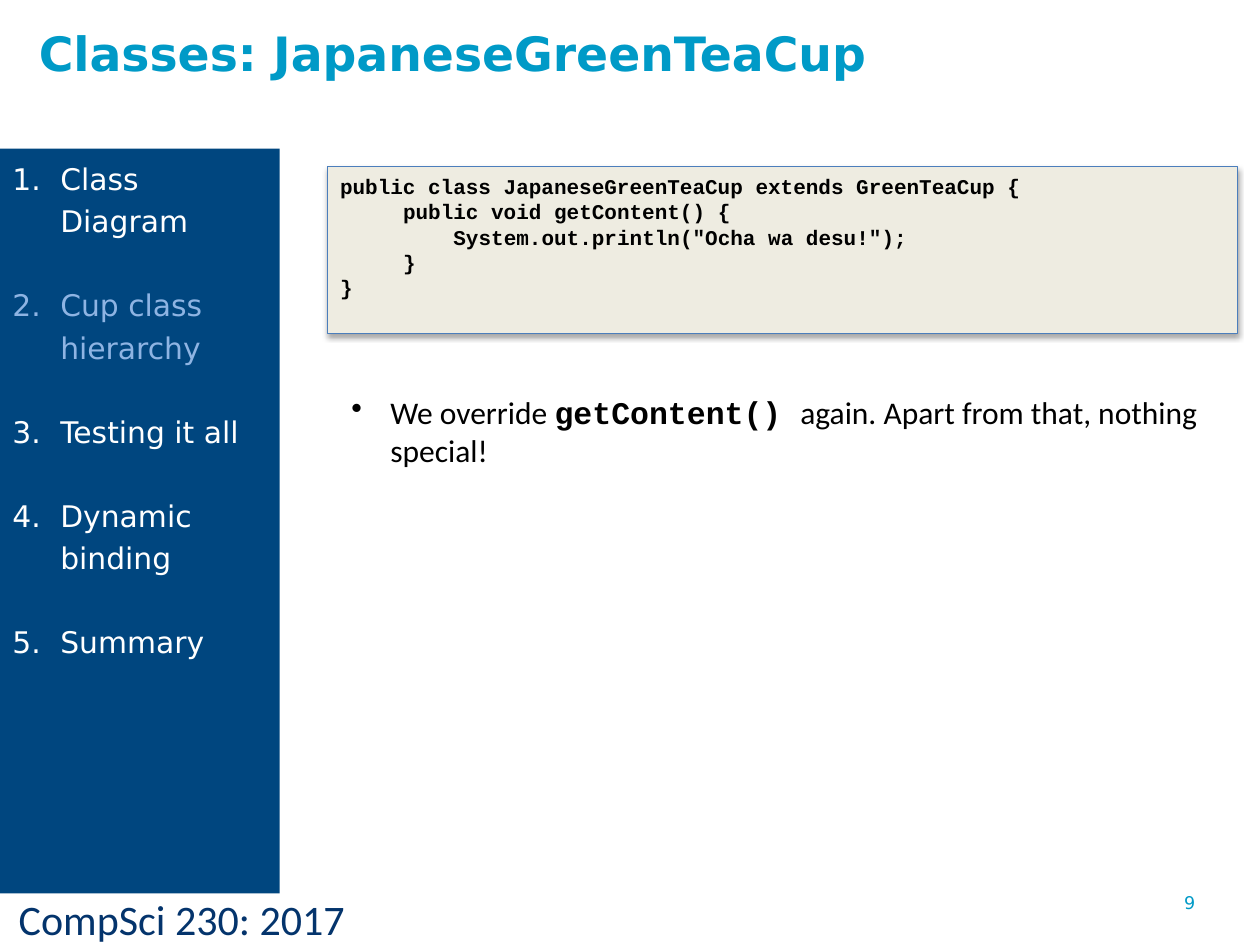
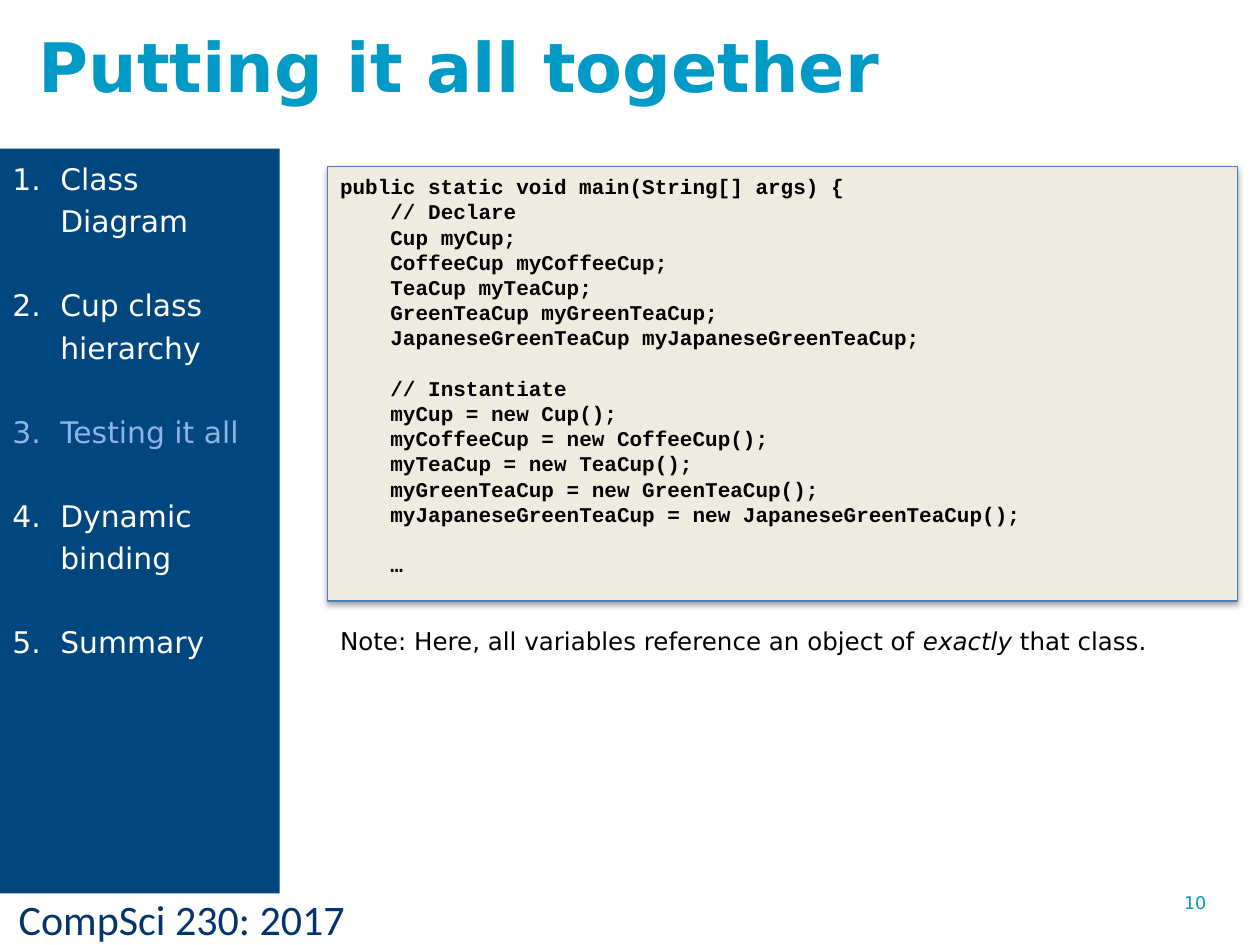
"""Build two lecture slides about the cup class hierarchy."""
from dataclasses import dataclass

from lxml.etree import SubElement
from pptx import Presentation
from pptx.dml.color import RGBColor
from pptx.enum.shapes import MSO_SHAPE
from pptx.enum.text import MSO_ANCHOR, PP_ALIGN
from pptx.oxml import parse_xml
from pptx.oxml.ns import nsdecls, qn
from pptx.util import Inches, Pt


@dataclass(frozen=True)
class Theme:
    """Colours, fonts and type sizes of the deck."""
    accent: str = "009AC7"
    footer: str = "04346C"
    sidebar: str = "00467F"
    current: str = "8EB4E3"
    panel: str = "EEECE1"
    outline: str = "4B7EBC"
    white: str = "FFFFFF"
    black: str = "000000"
    heading_font: str = "DejaVu Sans"
    body_font: str = "Calibri"
    code_font: str = "Courier New"
    footer_size: int = 24
    number_size: int = 10
    topic_size: int = 17
    topic_pitch: int = 24
    code_size: int = 12
    code_pitch: float = 14.4
    bullet_size: int = 18
    note_size: int = 14


TOPICS = ["Class Diagram", "Cup class hierarchy", "Testing it all",
          "Dynamic binding", "Summary"]

OVERRIDE_CODE = [
    (0, "public class JapaneseGreenTeaCup extends GreenTeaCup {"),
    (5, "public void getContent() {"),
    (9, "System.out.println(\"Ocha wa desu!\");"),
    (5, "}"),
    (0, "}"),
]

MAIN_CODE = [(0, "public static void main(String[] args) {")] + [
    (4, line) for line in (
        "// Declare",
        "Cup myCup;",
        "CoffeeCup myCoffeeCup;",
        "TeaCup myTeaCup;",
        "GreenTeaCup myGreenTeaCup;",
        "JapaneseGreenTeaCup myJapaneseGreenTeaCup;",
        "",
        "// Instantiate",
        "myCup = new Cup();",
        "myCoffeeCup = new CoffeeCup();",
        "myTeaCup = new TeaCup();",
        "myGreenTeaCup = new GreenTeaCup();",
        "myJapaneseGreenTeaCup = new JapaneseGreenTeaCup();",
        "",
        "…",
    )
]


class Lecture:
    """Hold the theme, the deck and the current page."""

    def __init__(self, theme):
        """Start an empty deck."""
        self.theme = theme
        self.deck = Presentation()
        self.deck.slide_width, self.deck.slide_height = Inches(10), Inches(7.5)
        self.page = None

    def start_page(self, title, title_size, number, topic):
        """Add a page with its title, footer, number and sidebar."""
        theme = self.theme
        self.page = self.deck.slides.add_slide(self.deck.slide_layouts[6])
        self.label("CompSci 230: 2017", (0.05, 7.04, 4.05, 0.5),
                   theme.body_font, theme.footer_size, theme.footer)
        self.label(str(number), (9.3, 7.03, 0.7, 0.52),
                   theme.heading_font, theme.number_size, theme.accent)
        self.label(title, (0.21, 0.14, 7.13, 0.78),
                   theme.heading_font, title_size, theme.accent, bold=True)
        self.sidebar(topic)

    def style(self, para, font, size, color, bold=False):
        """Set the font of a whole paragraph."""
        para.font.name, para.font.size, para.font.bold = font, Pt(size), bold
        para.font.color.rgb = RGBColor.from_string(color)

    def text_frame(self, area):
        """Add a wrapping text box and return its frame."""
        frame = self.page.shapes.add_textbox(*map(Inches, area)).text_frame
        frame.word_wrap = True
        return frame

    def label(self, text, area, font, size, color, bold=False):
        """Add a text box of one paragraph."""
        para = self.text_frame(area).paragraphs[0]
        para.text = text
        self.style(para, font, size, color, bold)

    def rectangle(self, area, fill):
        """Add a flat filled rectangle without an outline."""
        box = self.page.shapes.add_shape(MSO_SHAPE.RECTANGLE, *map(Inches, area))
        box.shadow.inherit = False
        box.fill.solid()
        box.fill.fore_color.rgb = RGBColor.from_string(fill)
        box.line.fill.background()
        return box

    def paragraphs(self, frame, count):
        """Return the given number of paragraphs of an empty frame."""
        return [frame.paragraphs[0]] + [frame.add_paragraph() for _ in range(count - 1)]

    def indent(self, para, left, hanging=0.0):
        """Set the left margin and the hanging indent of a paragraph."""
        properties = para._p.get_or_add_pPr()
        properties.set("marL", str(Inches(left)))
        properties.set("indent", str(-Inches(hanging)))
        return properties

    def sidebar(self, current):
        """Add the numbered topics with the current one tinted."""
        theme = self.theme
        frame = self.rectangle((0, 1.18, 2.22, 5.91), theme.sidebar).text_frame
        frame.word_wrap = True
        frame.vertical_anchor = MSO_ANCHOR.TOP
        for index, para in enumerate(self.paragraphs(frame, len(TOPICS))):
            para.text = TOPICS[index]
            para.alignment = PP_ALIGN.LEFT
            para.line_spacing = Pt(theme.topic_pitch)
            para.space_before = Pt(theme.topic_pitch if index else 0)
            color = theme.current if TOPICS[index] == current else theme.white
            self.style(para, theme.heading_font, theme.topic_size, color)
            properties = self.indent(para, 0.38, 0.38)
            number = SubElement(properties, qn("a:buAutoNum"), type="arabicPeriod")
            properties.find(qn("a:spcBef")).addnext(number)

    def code(self, lines, panel_height, text_height):
        """Add a shadowed panel with code indented by columns."""
        theme = self.theme
        panel = self.rectangle((2.6, 1.32, 7.22, panel_height), theme.panel)
        panel.line.color.rgb = RGBColor.from_string(theme.outline)
        panel.line.width = Pt(0.75)
        panel._element.spPr.find(qn("a:effectLst")).append(parse_xml(
            f'<a:outerShdw {nsdecls("a")} blurRad="{Pt(3.1)}" dist="{Pt(1.8)}" '
            f'dir="5400000" rotWithShape="0"><a:srgbClr val="{theme.black}">'
            '<a:alpha val="35000"/></a:srgbClr></a:outerShdw>'))
        frame = self.text_frame((2.6, 1.33, 7.29, text_height))
        visible = [(column, text, index and not lines[index - 1][1])
                   for index, (column, text) in enumerate(lines) if text]
        for para, (column, text, gap) in zip(
                self.paragraphs(frame, len(visible)), visible):
            para.text = text
            para.line_spacing = Pt(theme.code_pitch)
            para.space_before = Pt(theme.code_pitch if gap else 0)
            self.indent(para, column * 0.1)
            self.style(para, theme.code_font, theme.code_size, theme.black, bold=True)

    def spans(self, area, font, size, texts):
        """Add a paragraph of several spans and return it with them."""
        para = self.text_frame(area).paragraphs[0]
        self.style(para, font, size, self.theme.black)
        for text in texts:
            para.add_run().text = text
        return para, para.runs

    def bullet(self, before, code, after):
        """Add a bulleted sentence with code inside."""
        theme = self.theme
        para, spans = self.spans((2.69, 3.07, 7.04, 1.01), theme.body_font,
                                 theme.bullet_size, (before, code, after))
        spans[1].font.name, spans[1].font.bold = theme.code_font, True
        properties = self.indent(para, 0.31, 0.31)
        mark = SubElement(properties, qn("a:buChar"), char="•")
        properties.insert(0, mark)

    def note(self, before, stressed, after):
        """Add a note with a stressed word inside."""
        theme = self.theme
        _, spans = self.spans((2.6, 4.92, 7.29, 0.4), theme.heading_font,
                              theme.note_size, (before, stressed, after))
        spans[1].font.italic = True


def main():
    """Build both pages and save the deck."""
    lecture = Lecture(Theme())

    lecture.start_page("Classes: JapaneseGreenTeaCup", 27, 9, "Cup class hierarchy")
    lecture.code(OVERRIDE_CODE, 1.33, 2.43)
    lecture.bullet("We override ", "getContent() ",
                   "again. Apart from that, nothing special!")

    lecture.start_page("Putting it all together", 39, 10, "Testing it all")
    lecture.code(MAIN_CODE, 3.45, 3.54)
    lecture.note("Note: Here, all variables reference an object of ",
                 "exactly", " that class.")

    lecture.deck.save("out.pptx")


if __name__ == "__main__":
    main()
